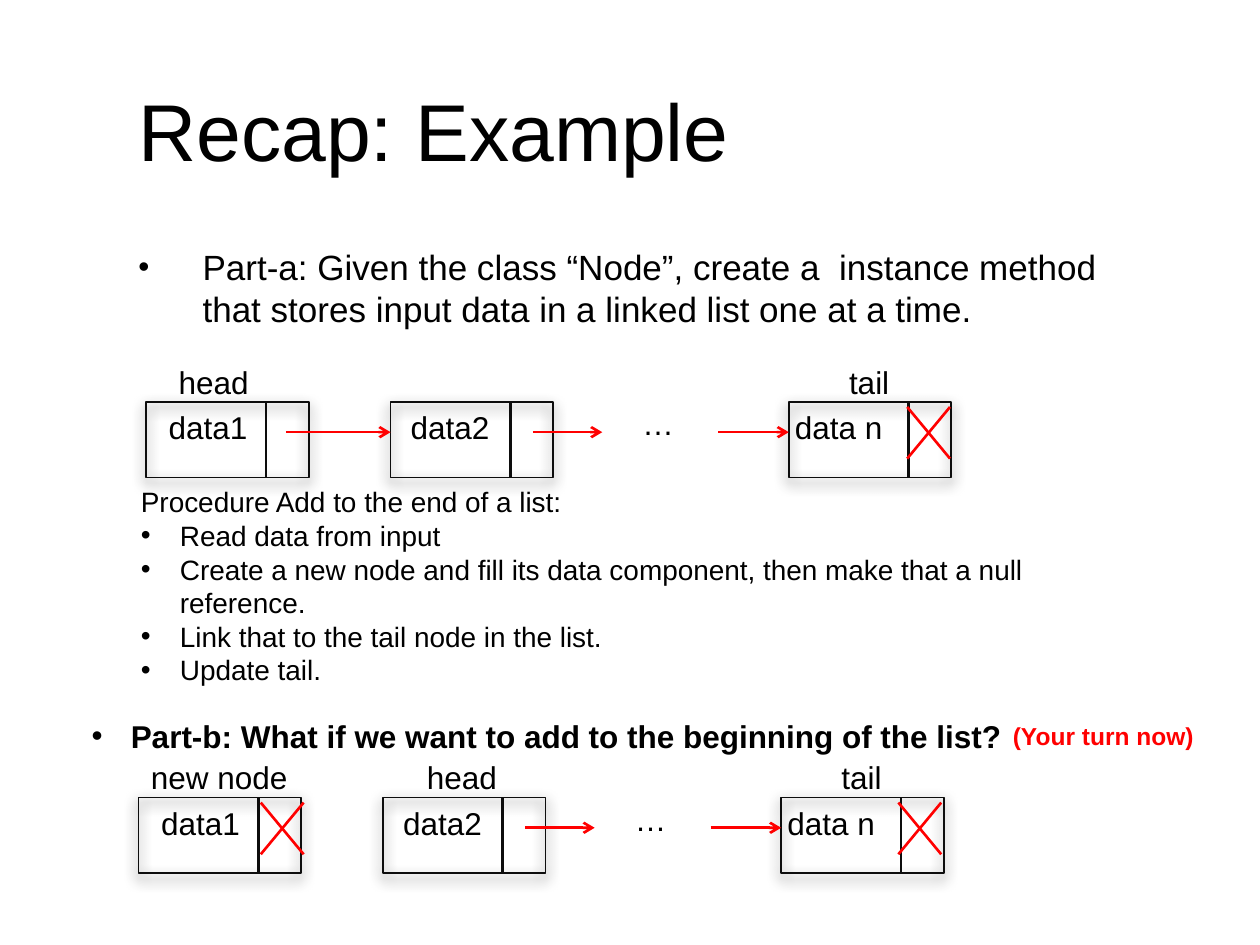
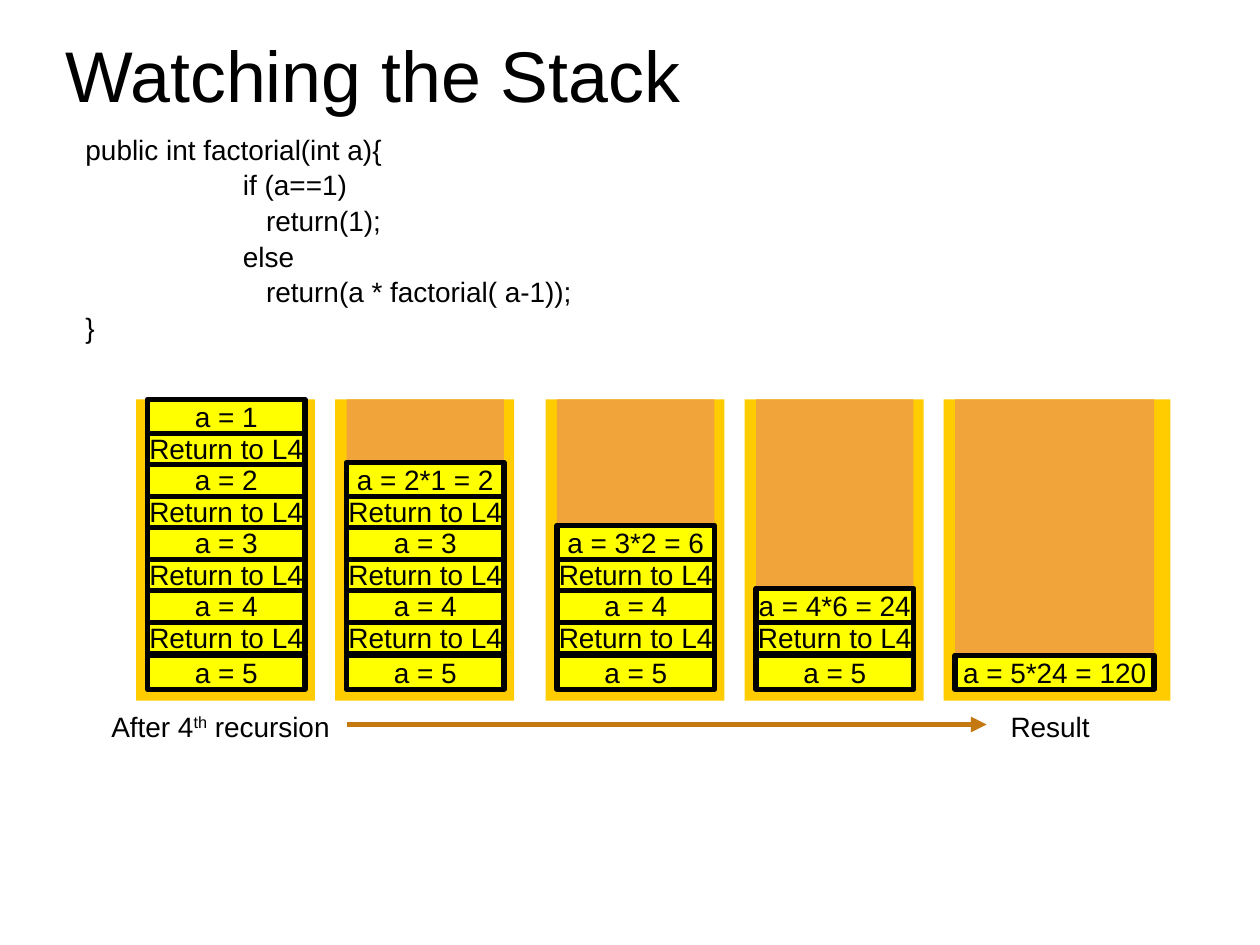
import dataclasses

import lxml.etree
import pptx
import pptx.dml.color
import pptx.enum.shapes
import pptx.enum.text
import pptx.oxml.ns
import pptx.util

Inches = pptx.util.Inches
Pt = pptx.util.Pt
qn = pptx.oxml.ns.qn
ALIGN = pptx.enum.text.PP_ALIGN
ANCHOR = pptx.enum.text.MSO_ANCHOR
FIT = pptx.enum.text.MSO_AUTO_SIZE
RECT = pptx.enum.shapes.MSO_SHAPE.RECTANGLE
STRAIGHT = pptx.enum.shapes.MSO_CONNECTOR.STRAIGHT


@dataclasses.dataclass(frozen=True)
class Theme:
    font: str = "Arial"
    ink: str = "000000"
    edge: str = "0D0D0D"
    red: str = "FF0000"
    gold: str = "FFCC00"
    orange: str = "F0A43A"
    yellow: str = "FFFF00"
    brown: str = "C47810"
    body: int = 20
    label: int = 18
    small: int = 16
    note: int = 14


THEME = Theme()


def paint(code):
    return pptx.dml.color.RGBColor.from_string(code)


def child(parent, tag, **attrs):
    return lxml.etree.SubElement(parent, qn(tag), attrs)


def bullet(para, hang, scale):
    """Give a paragraph a hanging dot."""
    props = para._p.get_or_add_pPr()
    props.set("marL", str(Inches(hang)))
    props.set("indent", str(-Inches(hang)))
    if scale:
        child(props, "a:buSzPct", val=str(scale * 1000))
    child(props, "a:buFont", typeface=THEME.font)
    child(props, "a:buChar", char="•")


def write(shape, text, size=THEME.label, color=THEME.ink, bold=False,
          align=ALIGN.LEFT, anchor=ANCHOR.TOP, wrap=False, grow=False,
          hang=0, plain=0, scale=None, inset=None, raised=None):
    """Fill a shape with lines; those after the plain ones get dots if hang is set."""
    frame = shape.text_frame
    frame.word_wrap = wrap
    frame.vertical_anchor = anchor
    frame.auto_size = FIT.SHAPE_TO_FIT_TEXT if grow else FIT.NONE
    if inset is not None:
        frame.margin_left = frame.margin_right = Inches(inset)
        frame.margin_top = frame.margin_bottom = Inches(inset)
    for i, line in enumerate(text.split("\n")):
        para = frame.paragraphs[0] if i == 0 else frame.add_paragraph()
        para.alignment = align
        if hang and i >= plain:
            bullet(para, hang, scale)
        # A raised part is split off into its own run
        parts = line.partition(raised) if raised else [line]
        for part in parts:
            run = para.add_run()
            run.text = part
            run.font.name = THEME.font
            run.font.size = Pt(size)
            run.font.bold = bold
            run.font.color.rgb = paint(color)
            if part == raised:
                run._r.get_or_add_rPr().set("baseline", "30000")
    return frame


def label(slide, text, x, y, w, h=0.4, **style):
    box = slide.shapes.add_textbox(Inches(x), Inches(y), Inches(w), Inches(h))
    return write(box, text, **style)


def title(slide, text, x, y, h, size):
    label(slide, text, x, y, 8, h, size=size, anchor=ANCHOR.MIDDLE, wrap=True)


def block(shapes, x, y, w, h, fill=None, edge=None, weight=1):
    shape = shapes.add_shape(RECT, Inches(x), Inches(y), Inches(w), Inches(h))
    shape.shadow.inherit = False
    if fill:
        shape.fill.solid()
        shape.fill.fore_color.rgb = paint(fill)
    else:
        shape.fill.background()
    if edge:
        shape.line.color.rgb = paint(edge)
        shape.line.width = Pt(weight)
    else:
        shape.line.fill.background()
    return shape


def stroke(shapes, x1, y1, x2, y2, color=THEME.red, weight=1.5, head=None):
    line = shapes.add_connector(STRAIGHT, Inches(x1), Inches(y1), Inches(x2), Inches(y2))
    line.line.color.rgb = paint(color)
    line.line.width = Pt(weight)
    if head:
        child(line.line._get_or_add_ln(), "a:tailEnd", type=head)
    child(line._element.spPr, "a:effectLst")


# Linked list slide

def node(slide, x, y, text, shift, width):
    """A box split into data and link cells."""
    shapes = slide.shapes.add_group_shape().shapes
    box = block(shapes, x, y, 1.29, 0.6, edge=THEME.edge)
    glow = child(box._element.spPr.find(qn("a:effectLst")), "a:outerShdw",
                 blurRad=str(Pt(8)), dist=str(Pt(3)), dir="5400000", rotWithShape="0")
    shade = child(glow, "a:srgbClr", val=THEME.ink)
    child(shade, "a:alpha", val="75000")
    stroke(shapes, x + 0.95, y, x + 0.95, y + 0.6, THEME.edge)
    label(slide, text, x + shift, y, width, grow=True)


def cross(slide, x, y):
    """Mark an empty link."""
    stroke(slide.shapes, x + 0.34, y, x, y + 0.41)
    stroke(slide.shapes, x, y, x + 0.34, y + 0.41)


def chain(slide, x, y, names, arrows, marks):
    """A row of nodes with labels above, arrows between and crossed links."""
    nodes = [("data1", 0, 0.08, 0.95), ("data2", 1.94, 0.06, 0.95),
             ("data n", 5.1, -0.05, 1.03)]
    for text, left, shift, width in nodes:
        node(slide, x + left, y, text, shift, width)
    for start, end in arrows:
        stroke(slide.shapes, x + start, y + 0.24, x + end, y + 0.24, head="arrow")
    label(slide, "…", x + 3.84, y - 0.03, 0.45, grow=True)
    for text, left, width in names:
        label(slide, text, x + left, y - 0.36, width, grow=True)
    for left in marks:
        cross(slide, x + left, y + 0.04)


def recap(slide):
    title(slide, "Recap: Example", 1, 0.55, 0.95, 46)
    label(slide, "Part-a: Given the class “Node”, create a  instance method that "
          "stores input data in a linked list one at a time.",
          1, 1.9, 8, 0.85, size=THEME.body, wrap=True, hang=0.51, scale=90)

    # Add to the end
    later = [(3.07, 3.62), (4.54, 5.1)]
    tail = ("tail", 5.48, 0.56)
    chain(slide, 1.16, 3.19, [("head", 0.16, 0.87), tail], [(1.11, 1.94)] + later, [6.04])
    steps = ["Procedure Add to the end of a list:",
             "Read data from input",
             "Create a new node and fill its data component, "
             "then make that a null reference.",
             "Link that to the tail node in the list.",
             "Update tail."]
    label(slide, "\n".join(steps), 1.02, 3.8, 7.24, 1.72, size=THEME.small,
          wrap=True, grow=True, hang=0.31, plain=1)

    # Add to the start
    label(slide, "Part-b: What if we want to add to the beginning of the list?",
          0.63, 5.64, 7.76, bold=True, grow=True, hang=0.31)
    label(slide, "(Your turn now)", 7.94, 5.67, 1.65, 0.34, size=THEME.note,
          color=THEME.red, bold=True, grow=True)
    chain(slide, 1.1, 6.33, [("new node", 0, 1.46), ("head", 2.19, 0.87), tail],
          later, [0.97, 6.03])


# Call stack slide

def code(slide, x, y):
    rows = [("public int factorial(int a){", 0), ("if (a==1)", 1.25),
            ("   return(1);", 1.25), ("else", 1.25),
            ("   return(a * factorial( a-1));", 1.25), ("}", 0)]
    frame = label(slide, "\n".join(text for text, _ in rows), x, y, 9.25, 1.83,
                  size=THEME.small, wrap=True)
    for i, (para, (_, left)) in enumerate(zip(frame.paragraphs, rows)):
        props = para._p.get_or_add_pPr()
        props.set("marL", str(Inches(left)))
        props.set("indent", "0")
        if i:
            para.line_spacing = 0.9
            para.space_before = Pt(3.2)


def stack(slide, x, y, width, inner, depth, top):
    """A frame holding the calls still open, oldest at the bottom."""
    block(slide.shapes, x, y, width, 2.39, THEME.gold)
    block(slide.shapes, x + 0.09, y, inner, 2.3, THEME.orange)
    rows = ["a = 5"]
    for value in range(4, 4 - depth, -1):
        rows += ["Return to L4", f"a = {value}"]
    rows[-1] = top
    for i, text in enumerate(rows):
        rise = 2.03 if i == 0 else 2 - 0.25 * i
        cell = block(slide.shapes, x + 0.09, y + rise, inner, 0.27,
                     THEME.yellow, THEME.ink, 3)
        write(cell, text, size=THEME.small, align=ALIGN.CENTER,
              anchor=ANCHOR.MIDDLE, inset=0)


def watch(slide):
    title(slide, "Watching the Stack", 0.42, 0.17, 0.83, 41)
    code(slide, 0.58, 1)

    # One frame for each return
    tops = ["a = 1", "a = 2*1 = 2", "a = 3*2 = 6", "a = 4*6 = 24", "a = 5*24 = 120"]
    lefts = [1.08, 2.66, 4.33, 5.91, 7.49]
    for i, (x, top) in enumerate(zip(lefts, tops)):
        width, inner = (1.8, 1.58) if top == tops[-1] else (1.42, 1.25)
        stack(slide, x, 3.17, width, inner, 4 - i, top)

    # Time arrow
    style = dict(size=THEME.small, align=ALIGN.CENTER, grow=True)
    label(slide, "After 4th recursion", 0.77, 5.58, 1.96, 0.37, raised="th", **style)
    label(slide, "Result", 7.92, 5.58, 0.83, 0.37, **style)
    stroke(slide.shapes, 2.75, 5.75, 7.83, 5.75, THEME.brown, 3, "triangle")


def main():
    deck = pptx.Presentation()
    deck.slide_width, deck.slide_height = Inches(10), Inches(7.5)
    for draw in (recap, watch):
        draw(deck.slides.add_slide(deck.slide_layouts[6]))
    deck.save("out.pptx")


if __name__ == "__main__":
    main()
